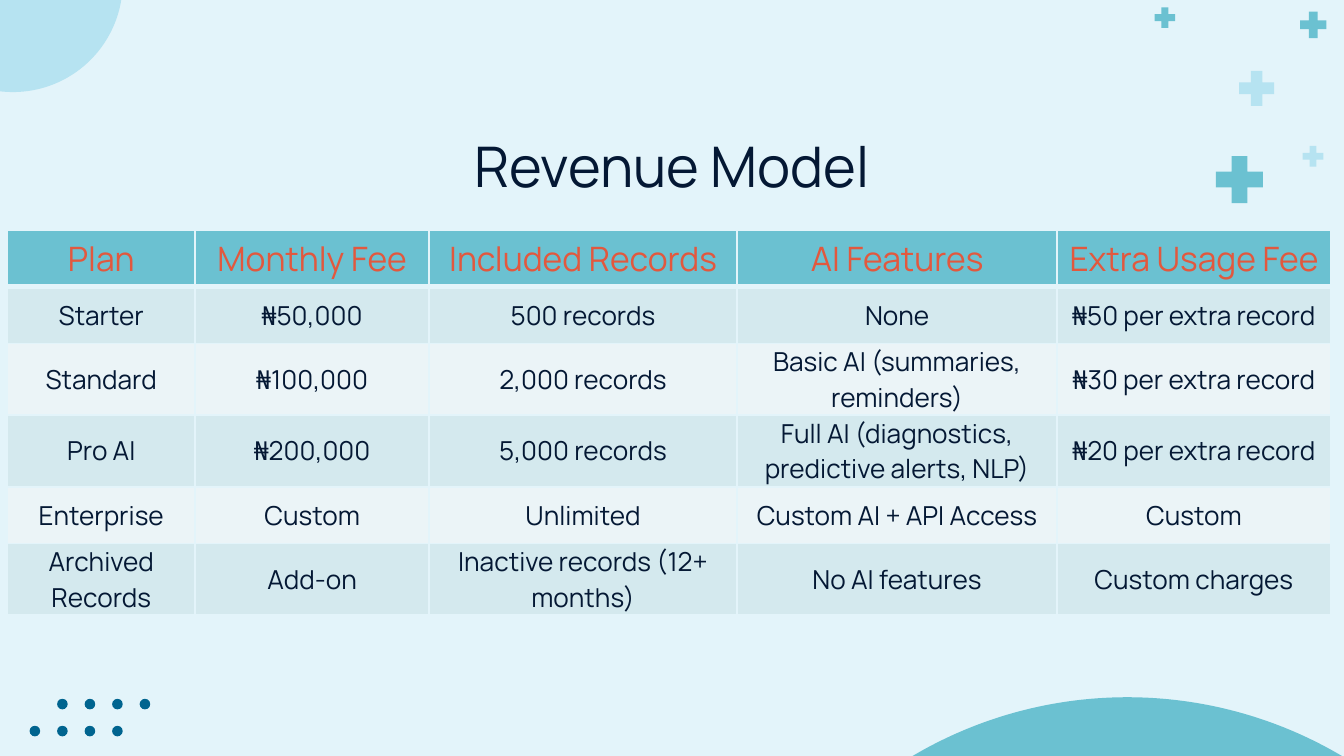
from dataclasses import dataclass
from lxml import etree
from pptx import Presentation
from pptx.dml.color import RGBColor
from pptx.enum.shapes import MSO_SHAPE
from pptx.enum.text import MSO_ANCHOR, MSO_AUTO_SIZE, PP_ALIGN
from pptx.oxml.ns import qn
from pptx.slide import Slide
from pptx.table import Table, _Cell
from pptx.text.text import TextFrame
from pptx.util import Cm, Pt

OVAL, CROSS = MSO_SHAPE.OVAL, MSO_SHAPE.CROSS
CENTER, MIDDLE, TOP = PP_ALIGN.CENTER, MSO_ANCHOR.MIDDLE, MSO_ANCHOR.TOP
NO_AUTO_SIZE = MSO_AUTO_SIZE.NONE
TITLE_ONLY_LAYOUT = 5
FONT = "Manrope"
COLORS = {
    "background": "E3F4FA",
    "pale": "B6E3F1",
    "teal": "6BC1D1",
    "dot": "00648F",
    "ink": "041834",
    "heading": "E2583E",
    "odd_row": "D4E9EE",
    "even_row": "EBF4F7",
}


@dataclass
class Ornament:
    """A square decoration, measured in centimetres."""
    kind: MSO_SHAPE
    left: float
    top: float
    size: float
    color: str


DOT_SIZE, DOT_STEP = 0.2, 0.52
DOT_ROWS = [(1.08, 13.21), (0.56, 13.72)]
ORNAMENTS = [
    Ornament(OVAL, -1.83, -2.41, 4.15, "pale"),
    Ornament(OVAL, 13.34, 13.18, 15.93, "teal"),
    Ornament(CROSS, 24.57, 0.22, 0.5, "teal"),
    Ornament(CROSS, 22.98, 2.95, 0.89, "teal"),
    Ornament(CROSS, 21.82, 0.14, 0.39, "teal"),
    Ornament(CROSS, 23.42, 1.34, 0.66, "pale"),
    Ornament(CROSS, 24.62, 2.76, 0.39, "pale"),
] + [
    Ornament(OVAL, left + column * DOT_STEP, top, DOT_SIZE, "dot")
    for left, top in DOT_ROWS
    for column in range(4)
]

COLUMN_WIDTHS = [3.55, 4.42, 5.82, 6.05, 5.17]
ROW_HEIGHT = 1.07
PLANS = [
    ["Plan", "Monthly Fee", "Included Records", "AI Features", "Extra Usage Fee"],
    ["Starter", "₦50,000", "500 records", "None", "₦50 per extra record"],
    ["Standard", "₦100,000", "2,000 records", "Basic AI (summaries, reminders)",
     "₦30 per extra record"],
    ["Pro AI", "₦200,000", "5,000 records",
     "Full AI (diagnostics, predictive alerts, NLP)", "₦20 per extra record"],
    ["Enterprise", "Custom", "Unlimited", "Custom AI + API Access", "Custom"],
    ["Archived Records", "Add-on", "Inactive records (12+ months)", "No AI features",
     "Custom charges"],
]


def rgb(name: str) -> RGBColor:
    return RGBColor.from_string(COLORS[name])


def write_text(frame: TextFrame, text: str, *, size: float, color: str,
               anchor: MSO_ANCHOR = MIDDLE) -> None:
    frame.word_wrap = True
    frame.vertical_anchor = anchor
    para = frame.paragraphs[0]
    para.alignment = CENTER
    span = para.add_run()
    span.text = text
    span.font.name = FONT
    span.font.size = Pt(size)
    span.font.color.rgb = rgb(color)


def draw_ornament(page: Slide, ornament: Ornament) -> None:
    size = Cm(ornament.size)
    shape = page.shapes.add_shape(
        ornament.kind, Cm(ornament.left), Cm(ornament.top), size, size)
    if ornament.kind == CROSS:
        shape.adjustments[0] = 1 / 3
    shape.shadow.inherit = False
    shape.fill.solid()
    shape.fill.fore_color.rgb = rgb(ornament.color)
    shape.line.fill.background()


def set_borders(cell: _Cell, bottom: float) -> None:
    """Give a cell 1 pt borders, with its own width in points at the bottom."""
    properties = cell._tc.get_or_add_tcPr()
    widths = {"lnL": 1, "lnR": 1, "lnT": 1, "lnB": bottom}
    for position, (side, width) in enumerate(widths.items()):
        line = etree.Element(qn(f"a:{side}"), w=str(Pt(width)))
        fill = etree.SubElement(line, qn("a:solidFill"))
        etree.SubElement(fill, qn("a:srgbClr"), val=COLORS["background"])
        properties.insert(position, line)


def fill_cell(cell: _Cell, text: str, row: int) -> None:
    is_header = row == 0
    cell.margin_left = cell.margin_right = cell.margin_top = cell.margin_bottom = 0
    cell.vertical_anchor = MIDDLE
    write_text(cell.text_frame, text, size=18 if is_header else 14,
               color="heading" if is_header else "ink")
    cell.fill.solid()
    cell.fill.fore_color.rgb = rgb(
        "teal" if is_header else "odd_row" if row % 2 else "even_row")
    # The line below the header belongs to the first plan's top edge as well.
    set_borders(cell, bottom=3 if is_header else 1)


def draw_plans(page: Slide) -> Table:
    frame = page.shapes.add_table(
        len(PLANS), len(COLUMN_WIDTHS), Cm(0.14), Cm(4.35),
        Cm(sum(COLUMN_WIDTHS)), Cm(ROW_HEIGHT * len(PLANS)))
    table = frame.table
    table.horz_banding = False
    for column, width in zip(table.columns, COLUMN_WIDTHS):
        column.width = Cm(width)
    for row, plan in enumerate(PLANS):
        table.rows[row].height = Cm(ROW_HEIGHT)
        for column, text in enumerate(plan):
            fill_cell(table.cell(row, column), text, row)
    return table


def draw_title(page: Slide) -> None:
    title = page.shapes.title
    title.left, title.top, title.width, title.height = Cm(2), Cm(2.23), Cm(21.4), Cm(1.6)
    frame = title.text_frame
    frame.auto_size = NO_AUTO_SIZE
    frame.margin_left = frame.margin_right = Cm(0.25)
    frame.margin_top = frame.margin_bottom = Cm(0.25)
    write_text(frame, "Revenue Model", size=30, color="ink", anchor=TOP)


def main() -> None:
    deck = Presentation()
    deck.slide_width, deck.slide_height = Cm(25.4), Cm(14.29)
    page = deck.slides.add_slide(deck.slide_layouts[TITLE_ONLY_LAYOUT])
    page.background.fill.solid()
    page.background.fill.fore_color.rgb = rgb("background")
    for ornament in ORNAMENTS:
        draw_ornament(page, ornament)
    draw_title(page)
    draw_plans(page)
    deck.save("out.pptx")


if __name__ == "__main__":
    main()
